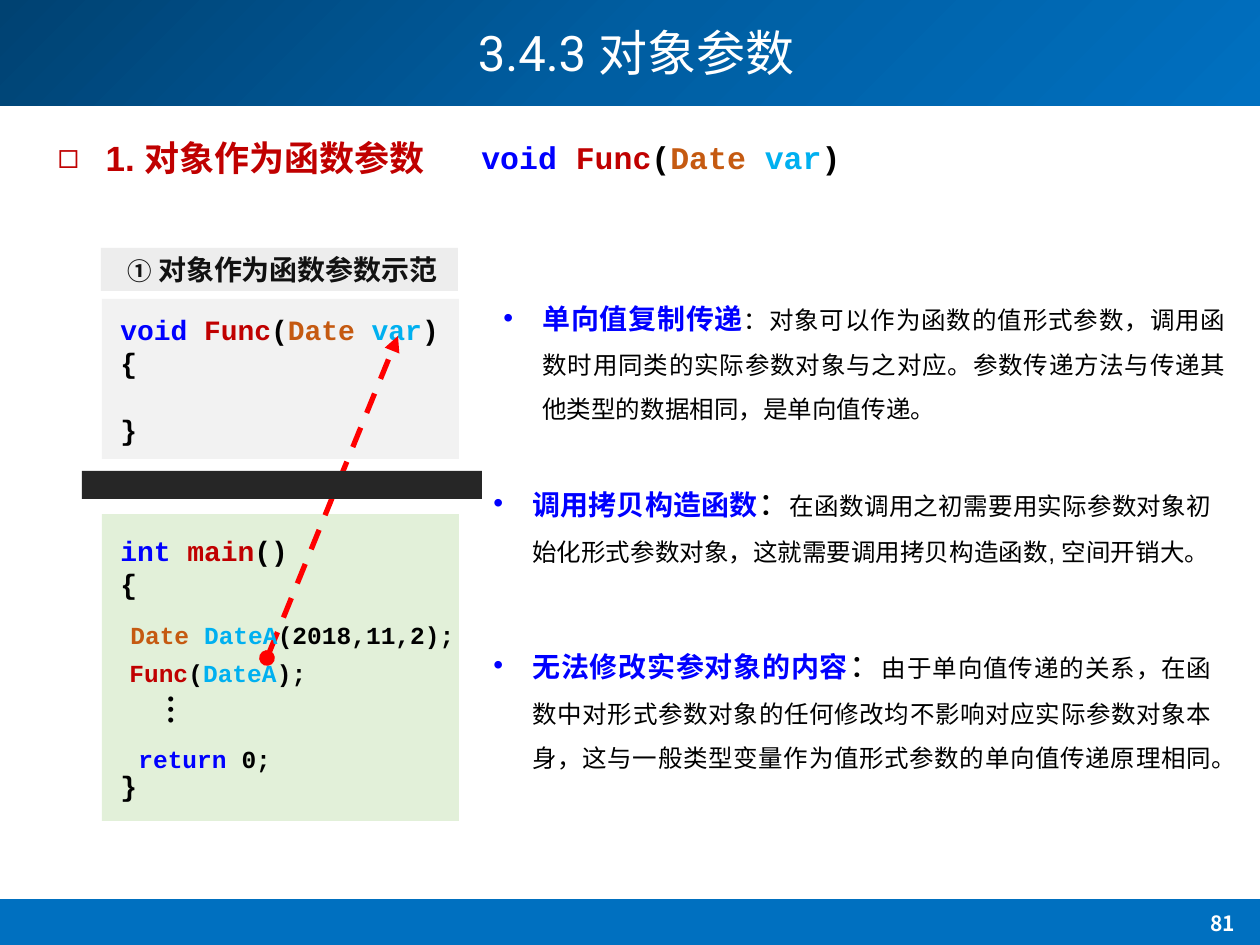
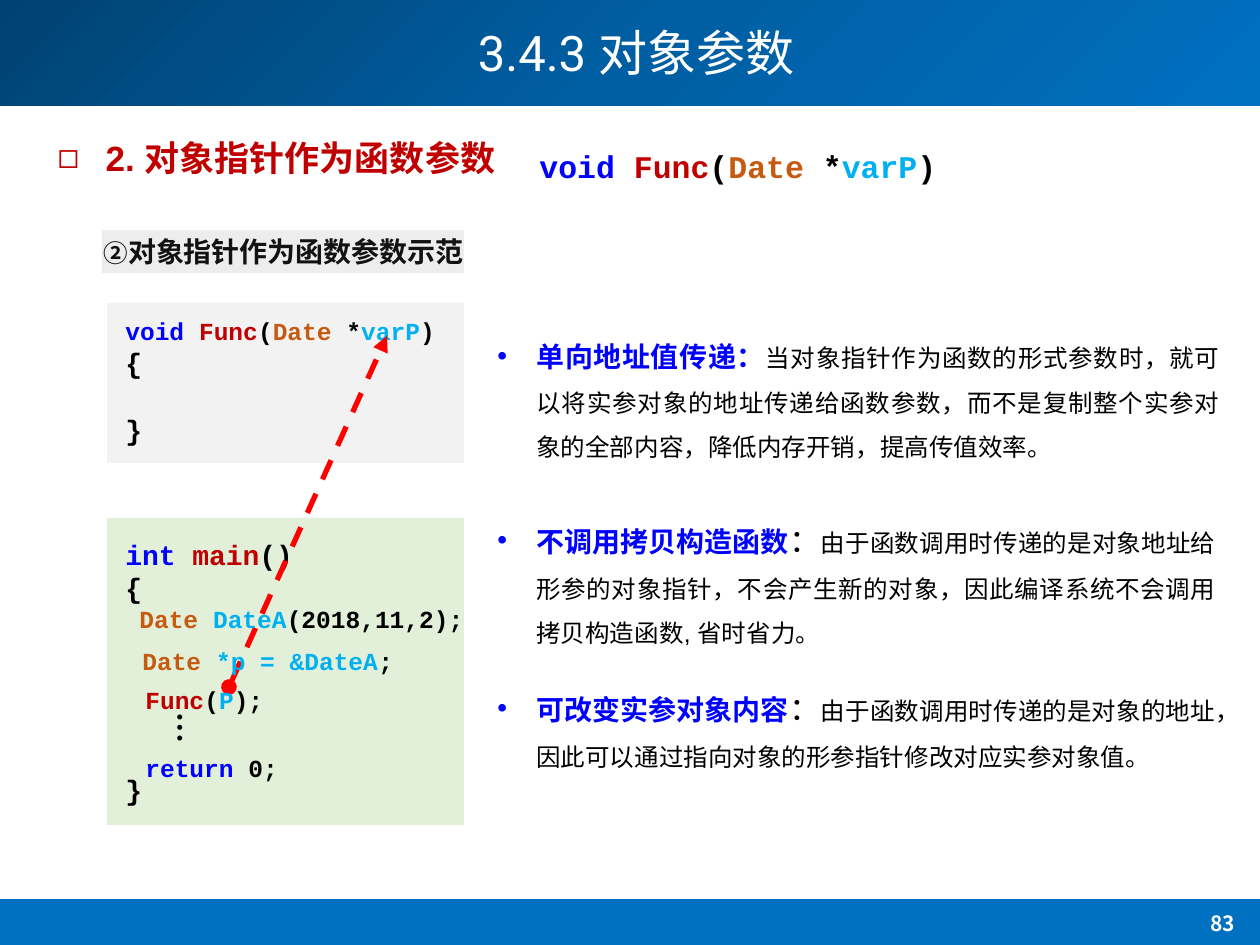
import copy
from dataclasses import dataclass

import lxml.etree
import pptx
import pptx.dml.color
import pptx.enum.dml
import pptx.enum.shapes
import pptx.enum.text
import pptx.oxml.ns
import pptx.util

qn = pptx.oxml.ns.qn
ALIGN = pptx.enum.text.PP_ALIGN
RECT = pptx.enum.shapes.MSO_SHAPE.RECTANGLE


@dataclass(frozen=True)
class Theme:
    """Hold the colours, fonts and type sizes of the slides."""
    navy: str = "004272"
    mid_blue: str = "005EA2"
    blue: str = "0070C0"
    white: str = "FFFFFF"
    black: str = "000000"
    red: str = "C00000"
    keyword: str = "0000FF"
    type_name: str = "C55A11"
    variable: str = "00B0F0"
    arrow: str = "FF0000"
    func_panel: str = "F2F2F2"
    main_panel: str = "E2F0D9"
    label_bar: str = "808080"
    divider: str = "262626"
    body_font: str = "Arial"
    cjk_font: str = "Noto Sans CJK SC"
    title_font: str = "Roboto"
    code_font: str = "Courier New"
    dots_font: str = "Calibri"
    title: int = 28
    heading: int = 20
    signature: int = 18
    colon: int = 18
    code: int = 16
    lead: int = 16
    small: int = 14
    number: int = 12
    dots: int = 24
    code_leading: float = 1.2
    text_leading: float = 1.3
    note_leading: float = 25.4


T = Theme()


def px(n):
    """Turn slide pixels into EMU."""
    return pptx.util.Emu(round(n * 914400 / 126))


def rgb(color):
    """Turn a hex string into a colour."""
    return pptx.dml.color.RGBColor.from_string(color)


def add_xml(parent, tag, **attrs):
    """Append one DrawingML element."""
    return lxml.etree.SubElement(parent, qn(tag), attrs)


def write(p, text, size=T.small, color=T.black, font=T.body_font, bold=False):
    """Add a formatted run to a paragraph."""
    r = p.add_run()
    r.text = text
    r.font.size = pptx.util.Pt(size)
    r.font.bold = bold
    r.font.name = font
    r.font.color.rgb = rgb(color)
    add_xml(r._r.get_or_add_rPr(), "a:ea", typeface=T.cjk_font)


def place(sp, box):
    """Move a shape to a pixel box."""
    sp.left, sp.top, sp.width, sp.height = map(px, box)


def textbox(s, box):
    """Add a wrapping text box and return its text frame."""
    tf = s.shapes.add_textbox(*map(px, box)).text_frame
    tf.word_wrap = True
    return tf


def set_leading(p, points, before=0):
    """Set exact line spacing and the space before."""
    p.line_spacing = pptx.util.Pt(round(points, 2))
    p.space_before = pptx.util.Pt(round(before, 2))


def set_bullet(p, char, indent):
    """Give a paragraph a hanging bullet."""
    pPr = p._p.get_or_add_pPr()
    pPr.set("marL", str(px(indent)))
    pPr.set("indent", str(-px(indent)))
    add_xml(pPr, "a:buFont", typeface=T.body_font)
    add_xml(pPr, "a:buChar", char=char)


def rect(s, box, color):
    """Add a plain filled rectangle."""
    sp = s.shapes.add_shape(RECT, *map(px, box))
    sp.shadow.inherit = False
    sp.fill.solid()
    sp.fill.fore_color.rgb = rgb(color)
    sp.line.fill.background()
    return sp


def frame(s):
    """Put the header and footer bands on the layout of a slide."""
    header = rect(s, (0, 0, 1260, 106), T.navy)
    header.fill.gradient()
    header.fill.gradient_angle = 315
    stops = header.element.spPr.find(qn("a:gradFill")).find(qn("a:gsLst"))
    stops.insert(1, copy.deepcopy(stops[0]))
    colors = (T.navy, T.mid_blue, T.blue)
    for stop, position, color in zip(header.fill.gradient_stops, (0, 0.5, 1), colors):
        stop.position = position
        stop.color.rgb = rgb(color)
    footer = rect(s, (0, 899, 1260, 46), T.blue)
    for band in (header, footer):
        s.slide_layout.shapes.element.insert(2, band.element)


def title_and_heading(s, heading, number):
    """Fill the title, the section heading and the page number."""
    title, body = s.placeholders
    place(title, (107, 0, 1058, 112))
    p = title.text_frame.paragraphs[0]
    p.alignment = ALIGN.CENTER
    p.line_spacing = 0.9
    write(p, "3.4.3 ", size=T.title, color=T.white, font=T.title_font)
    write(p, "对象参数", size=T.title, color=T.white, font=T.cjk_font)

    place(body, (45, 127, 985, 55))
    body.text_frame.auto_size = pptx.enum.text.MSO_AUTO_SIZE.NONE
    p = body.text_frame.paragraphs[0]
    set_bullet(p, "◻", 48)
    set_leading(p, T.heading * T.text_leading)
    write(p, heading, size=T.heading, color=T.red, bold=True)

    p = textbox(s, (1163, 902, 120, 45)).paragraphs[0]
    p.alignment = ALIGN.CENTER
    set_leading(p, T.number * T.text_leading)
    write(p, number, size=T.number, color=T.white, font=T.cjk_font, bold=True)


def code_line(p, tokens, size, blanks=0):
    """Write coloured code tokens, after a gap of some lines."""
    leading = size * T.code_leading
    set_leading(p, leading, blanks * leading)
    for text, color in tokens:
        write(p, text, size=size, color=color, font=T.code_font, bold=True)


def code_at(s, x, y, tokens, size=T.small):
    """Place a single line of code."""
    code_line(textbox(s, (x, y, 430, 45)).paragraphs[0], tokens, size)


def code_panel(s, box, color, inset, tokens, size, blanks):
    """Draw a panel holding a function head and its braces."""
    x, y, w, h = box
    rect(s, box, color)
    tf = textbox(s, (x + 6, y + inset, w - 6, h - 2 * inset))
    code_line(tf.paragraphs[0], tokens, size)
    code_line(tf.add_paragraph(), [("{", T.black)], T.code)
    code_line(tf.add_paragraph(), [("}", T.black)], T.code, blanks)


def dots(s, x, y):
    """Place the vertical ellipsis."""
    tf = textbox(s, (x, y, 77, 67))
    tf._txBody.bodyPr.set("vert", "eaVert")
    p = tf.paragraphs[0]
    p.alignment = ALIGN.CENTER
    write(p, "…", size=T.dots, font=T.dots_font)


def arrow(s, start, end):
    """Draw the dashed arrow from argument to parameter."""
    cn = s.shapes.add_connector(pptx.enum.shapes.MSO_CONNECTOR.STRAIGHT,
                                *map(px, start + end))
    cn.line.color.rgb = rgb(T.arrow)
    cn.line.width = pptx.util.Pt(3)
    cn.line.dash_style = pptx.enum.dml.MSO_LINE.DASH
    ln = cn.element.spPr.find(qn("a:ln"))
    add_xml(ln, "a:headEnd", type="oval")
    add_xml(ln, "a:tailEnd", type="triangle")
    add_xml(cn.element.spPr, "a:effectLst")


def demo(s, x, y, head, head_size, main_y, body, dots_at, arrow_ends):
    """Draw the function panel, the main panel and the arrow between."""
    code_panel(s, (x, y, 357, 160), T.func_panel, 7, head, head_size, 1)
    main_head = [("int ", T.keyword), ("main", T.red), ("()", T.black)]
    code_panel(s, (x, main_y, 357, 307), T.main_panel, 13, main_head, T.code, 5)
    dots(s, x + dots_at[0], main_y + dots_at[1])
    arrow(s, *arrow_ends)
    for dx, dy, tokens in body:
        code_at(s, x + dx, main_y + dy, tokens)


def label(s, bar, text_x, text_w, mark, text):
    """Write the demo caption under its translucent bar."""
    p = textbox(s, (text_x, bar[1] - 5, text_w, 47)).paragraphs[0]
    p.alignment = ALIGN.CENTER
    set_leading(p, T.lead * T.text_leading)
    write(p, mark, bold=True)
    write(p, text, size=T.lead, bold=True)
    fill = rect(s, bar, T.label_bar).element.spPr.find(qn("a:solidFill"))
    add_xml(fill[0], "a:alpha", val="14000")


def note(s, x, y, w, lines, lead, colon, text):
    """Write one bulleted explanation."""
    p = textbox(s, (x, y, w, 45 * lines + 12)).paragraphs[0]
    p.alignment = ALIGN.JUSTIFY
    set_bullet(p, "•", 39)
    set_leading(p, T.note_leading)
    write(p, lead, size=T.lead, color=T.keyword, bold=True)
    if colon:
        write(p, colon, size=T.colon)
    write(p, text)


DATE_A = [("Date ", T.type_name), ("DateA", T.variable), ("(2018,11,2);", T.black)]
RETURN = [("return", T.keyword), (" 0;", T.black)]


def signature(star, name):
    """Return the tokens of the Func signature."""
    return [("void ", T.keyword), ("Func", T.red), ("(", T.black), ("Date", T.type_name),
            (star, T.black), (name, T.variable), (")", T.black)]


def call(argument):
    """Return the tokens of a call of Func."""
    return [("Func", T.red), ("(", T.black), (argument, T.variable), (");", T.black)]


def object_slide(s):
    """Build the slide on objects as parameters."""
    title_and_heading(s, "1. 对象作为函数参数", "81")
    head = signature(" ", "var")
    demo(s, 102, 299, head, T.code, 514,
         [(16, 100, DATE_A), (15, 138, call("DateA")), (24, 224, RETURN)],
         (38, 169), ((267, 658), (398, 336)))
    label(s, (101, 248, 357, 43), 99, 367, "①", " 对象作为函数参数示范")
    note(s, 491, 284, 747, 3, "单向值复制传递", "",
         "：对象可以作为函数的值形式参数，调用函数时用同类的实际参数对象与之对应。"
         "参数传递方法与传递其他类型的数据相同，是单向值传递。")
    note(s, 481, 471, 743, 2, "调用拷贝构造函数", "：",
         "在函数调用之初需要用实际参数对象初始化形式参数对象，"
         "这就需要调用拷贝构造函数, 空间开销大。")
    note(s, 481, 633, 743, 3, "无法修改实参对象的内容", "：",
         "由于单向值传递的关系，在函数中对形式参数对象的任何修改均不影响对应实际参数对象本身，"
         "这与一般类型变量作为值形式参数的单向值传递原理相同。")
    code_at(s, 469, 132, head, T.signature)
    rect(s, (82, 471, 400, 28), T.divider)


def pointer_slide(s):
    """Build the slide on object pointers as parameters."""
    title_and_heading(s, "2. 对象指针作为函数参数", "83")
    head = signature(" *", "varP")
    pointer = [("Date", T.type_name), (" *p = &DateA", T.variable), (";", T.black)]
    demo(s, 107, 303, head, T.small, 518,
         [(20, 80, DATE_A), (23, 122, pointer), (26, 161, call("P")), (26, 229, RETURN)],
         (42, 183), ((229, 687), (387, 336)))
    label(s, (102, 230, 362, 43), 78, 411, "②", "对象指针作为函数参数示范")
    note(s, 485, 322, 747, 3, "单向地址值传递：", "",
         "当对象指针作为函数的形式参数时，就可以将实参对象的地址传递给函数参数，"
         "而不是复制整个实参对象的全部内容，降低内存开销，提高传值效率。")
    note(s, 485, 508, 743, 3, "不调用拷贝构造函数", "：",
         "由于函数调用时传递的是对象地址给形参的对象指针，不会产生新的对象，"
         "因此编译系统不会调用拷贝构造函数, 省时省力。")
    note(s, 485, 676, 743, 2, "可改变实参对象内容", "：",
         "由于函数调用时传递的是对象的地址，因此可以通过指向对象的形参指针修改对应实参对象值。")
    code_at(s, 527, 141, head, T.signature)


def main():
    """Build and save the slides."""
    prs = pptx.Presentation()
    prs.slide_width, prs.slide_height = px(1260), px(945)
    layout = prs.slide_layouts[1]
    slides = [prs.slides.add_slide(layout) for _ in range(2)]
    frame(slides[0])
    object_slide(slides[0])
    pointer_slide(slides[1])
    prs.save("out.pptx")


if __name__ == "__main__":
    main()
